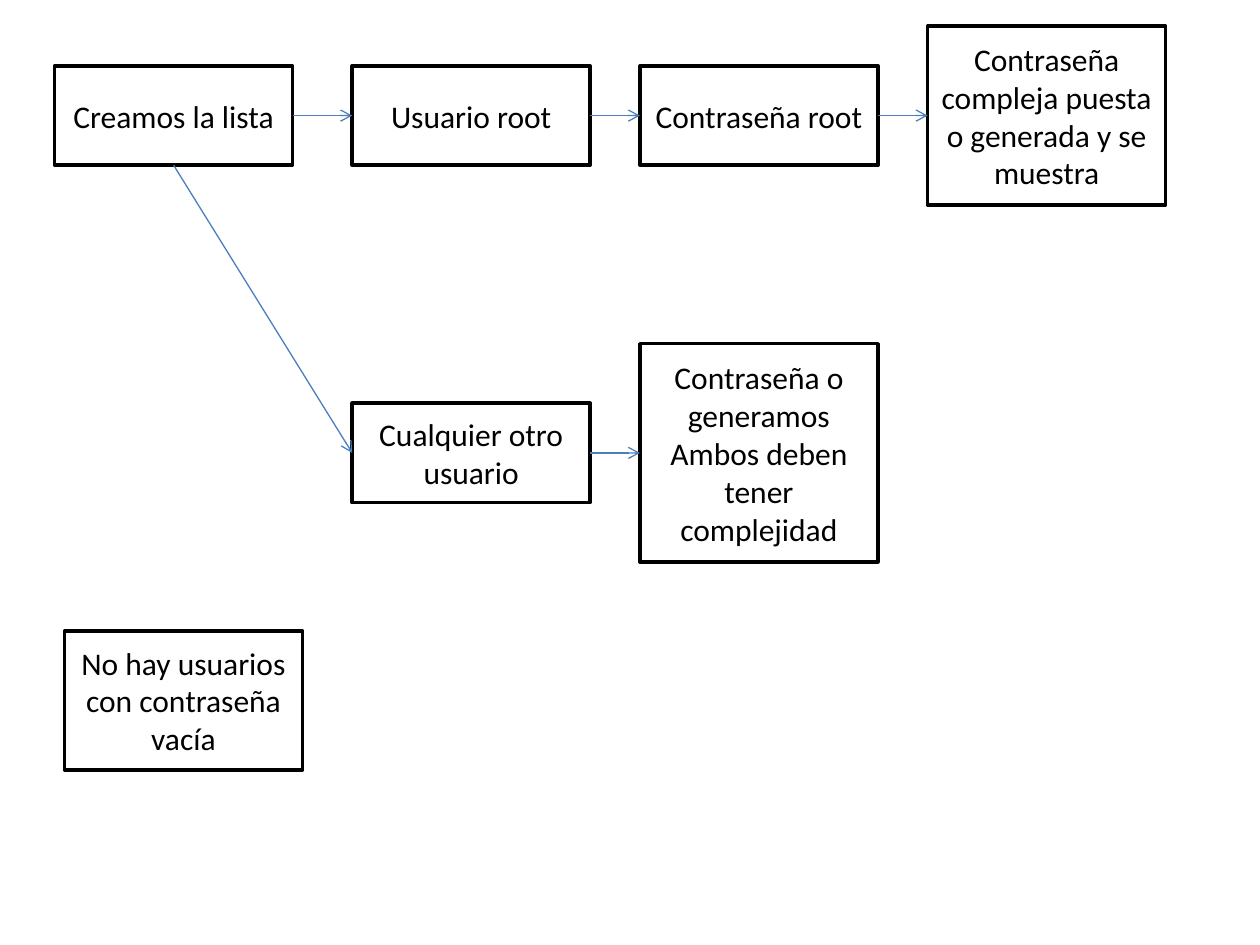
import pptx
import pptx.dml.color
import pptx.enum.shapes
import pptx.enum.text
import pptx.oxml
import pptx.oxml.ns
import pptx.util

Cm = pptx.util.Cm
Pt = pptx.util.Pt
hue = {"paper": "FFFFFF", "ink": "000000", "arrow": "4B7EBC"}


def rgb(name):
    return pptx.dml.color.RGBColor.from_string(hue[name])


deck = pptx.Presentation()
deck.slide_width = Cm(25.4)
deck.slide_height = Cm(19.05)
slide = deck.slides.add_slide(deck.slide_layouts[6])

# Columns are left edges, rows are centre lines, all in cm
cols = [1.1, 7.1, 12.9, 18.7]
top, mid, low = 2.33, 9.13, 14.12
width = 4.8

# name: left, centre line, height, paragraphs
steps = {
    "root": (cols[1], top, 2, ["Usuario root"]),
    "list": (cols[0], top, 2, ["Creamos la lista"]),
    "pass": (cols[2], top, 2, ["Contraseña root"]),
    "other": (cols[1], mid, 2, ["Cualquier otro usuario"]),
    "rule": (cols[2], mid, 4.4,
             ["Contraseña o generamos", "Ambos deben tener complejidad"]),
    "note": (1.3, low, 2.8, ["No hay usuarios con contraseña vacía"]),
    "show": (cols[3], top, 3.6,
             ["Contraseña compleja puesta o generada y se muestra"]),
}

boxes = {}
for name, (left, row, height, lines) in steps.items():
    box = slide.shapes.add_shape(
        pptx.enum.shapes.MSO_SHAPE.RECTANGLE,
        Cm(left), Cm(row - height / 2), Cm(width), Cm(height))
    box.shadow.inherit = False
    box.fill.solid()
    box.fill.fore_color.rgb = rgb("paper")
    box.line.color.rgb = rgb("ink")
    box.line.width = Pt(2)
    frame = box.text_frame
    frame.word_wrap = True
    frame.vertical_anchor = pptx.enum.text.MSO_ANCHOR.MIDDLE
    for i, line in enumerate(lines):
        para = frame.add_paragraph() if i else frame.paragraphs[0]
        para.alignment = pptx.enum.text.PP_ALIGN.CENTER
        run = para.add_run()
        run.text = line
        run.font.name = "Calibri"
        run.font.size = Pt(18)
        run.font.color.rgb = rgb("ink")
    boxes[name] = box

# start, side it leaves from, end (always entered on the left)
links = [
    ("list", 3, "root"),
    ("root", 3, "pass"),
    ("pass", 3, "show"),
    ("list", 2, "other"),
    ("other", 3, "rule"),
]
for start, side, end in links:
    link = slide.shapes.add_connector(
        pptx.enum.shapes.MSO_CONNECTOR.STRAIGHT, 0, 0, 0, 0)
    link.begin_connect(boxes[start], side)
    link.end_connect(boxes[end], 1)
    link.line.color.rgb = rgb("arrow")
    link.line.width = Pt(0.75)
    head = pptx.oxml.parse_xml(
        f'<a:tailEnd {pptx.oxml.ns.nsdecls("a")} type="arrow"/>')
    link.line._get_or_add_ln().append(head)
    glow = pptx.oxml.parse_xml(f'<a:effectLst {pptx.oxml.ns.nsdecls("a")}/>')
    link._element.spPr.append(glow)

deck.save("out.pptx")
